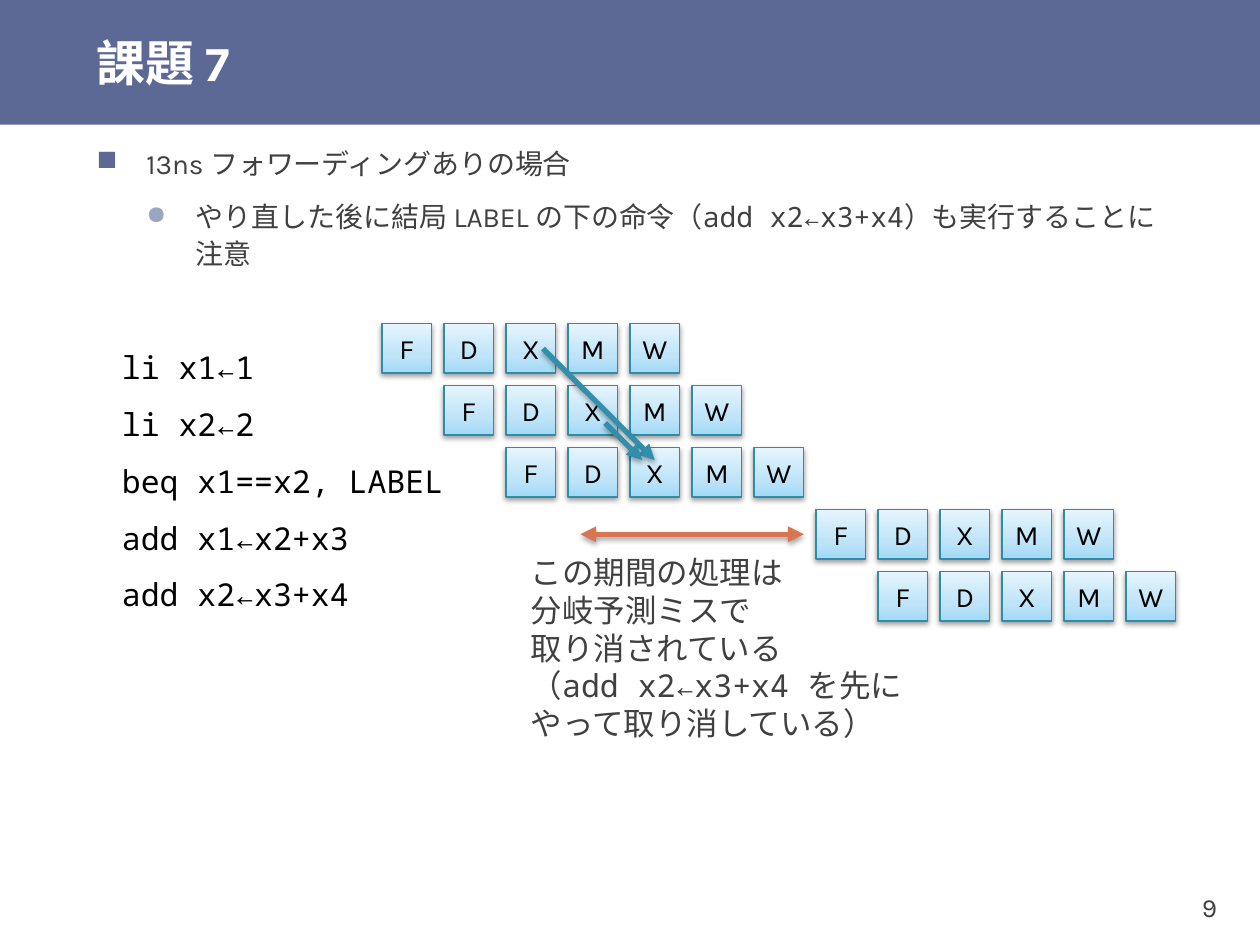
from copy import deepcopy
from pptx import Presentation
from pptx.dml.color import RGBColor
from pptx.enum.shapes import MSO_CONNECTOR, MSO_SHAPE
from pptx.enum.text import MSO_ANCHOR, PP_ALIGN
from pptx.oxml import parse_xml
from pptx.oxml.ns import nsdecls, qn
from pptx.oxml.xmlchemy import OxmlElement
from pptx.util import Pt

SANS, MONO = "Karla", "Noto Sans Mono"
HEX = {
    "bar": "5C6994", "dot": "9BA4C1", "text": "404040", "white": "FFFFFF",
    "black": "000000", "edge": "2E8DAB", "flow": "328FAC", "span": "D87552",
    "deep": "A2D9F7", "mid": "BFE4F8", "pale": "E6F5FD",
}
RGB = {name: RGBColor.from_string(code) for name, code in HEX.items()}


def style(para, size, color, name=None, bold=None):
    font = para.font
    font.size, font.name, font.bold = Pt(size), name, bold
    font.color.rgb = RGB[color]


def shade(item, dist, alpha):
    props = item._element.spPr
    for old in props.findall(qn("a:effectLst")):
        props.remove(old)
    props.append(parse_xml(
        f'<a:effectLst {nsdecls("a")}><a:outerShdw blurRad="{Pt(3.1)}" '
        f'dist="{Pt(dist)}" dir="5400000" rotWithShape="0">'
        f'<a:srgbClr val="{HEX["black"]}"><a:alpha val="{alpha * 1000}"/>'
        '</a:srgbClr></a:outerShdw></a:effectLst>'))


deck = Presentation()
deck.slide_width, deck.slide_height = Pt(720), Pt(540)
slide = deck.slides.add_slide(deck.slide_layouts[6])
shapes = slide.shapes

# Title bar
bar = shapes.add_shape(MSO_SHAPE.RECTANGLE, 0, 0, Pt(720), Pt(71.3))
bar.shadow.inherit = False
bar.fill.solid()
bar.fill.fore_color.rgb = RGB["bar"]
bar.line.fill.background()

# Title
frame = shapes.add_textbox(Pt(48.2), 0, Pt(671.8), Pt(71.3)).text_frame
frame.word_wrap = True
frame.vertical_anchor = MSO_ANCHOR.MIDDLE
frame.margin_top = frame.margin_bottom = 0
frame.text = "課題 7"
style(frame.paragraphs[0], 28, "white", SANS, True)

# Page number
frame = shapes.add_textbox(Pt(643.5), Pt(496.8), Pt(57), Pt(43.2)).text_frame
frame.vertical_anchor = MSO_ANCHOR.MIDDLE
frame.margin_left = frame.margin_right = Pt(5)
frame.margin_top = frame.margin_bottom = Pt(2.9)
frame.text = "9"
frame.paragraphs[0].alignment = PP_ALIGN.RIGHT
style(frame.paragraphs[0], 15, "text", SANS)

# Bulleted notes: level, bullet, colour, size in percent, space before, after, runs
notes = [
    (0, "■", "bar", 100, 0, 6, [("13ns フォワーディングありの場合", SANS)]),
    (1, "●", "dot", 90, 3, 3, [
        ("やり直した後に結局 LABEL の下の命令（", SANS),
        ("add x2←x3+x4", MONO),
        ("）も実行することに注意", SANS)]),
]
frame = shapes.add_textbox(Pt(48.2), Pt(78.5), Pt(623.6), Pt(198.5)).text_frame
frame.word_wrap = True
for level, mark, color, size, before, after, runs in notes:
    para = frame.paragraphs[0] if level == 0 else frame.add_paragraph()
    para.level = level
    para.line_spacing = 1.1
    para.space_before, para.space_after = Pt(before), Pt(after)
    props = para._p.get_or_add_pPr()
    props.set("marL", str(Pt(28.35 * (level + 1))))
    props.set("indent", str(Pt(-28.35)))
    for xml in (f'<a:buClr {nsdecls("a")}><a:srgbClr val="{HEX[color]}"/></a:buClr>',
                f'<a:buSzPct {nsdecls("a")} val="{size * 1000}"/>',
                f'<a:buChar {nsdecls("a")} char="{mark}"/>'):
        props.append(parse_xml(xml))
    style(para, 16, "text")
    for text, name in runs:
        run = para.add_run()
        run.text, run.font.name = text, name

# Pipeline stages: one row per instruction, each at its start cycle
left, top, step, side = 218.3, 184.8, 35.43, 28.35
for row, start in enumerate([0, 1, 2, 7, 8]):
    for col, stage in enumerate("FDXMW", start):
        box = shapes.add_shape(
            MSO_SHAPE.RECTANGLE, Pt(left + col * step), Pt(top + row * step),
            Pt(side), Pt(side))
        box.fill.gradient()
        box.fill.gradient_angle = 90
        stop = box._element.spPr.find(".//" + qn("a:gs"))
        stop.addnext(deepcopy(stop))
        tones = [(0, "deep"), (0.35, "mid"), (1, "pale")]
        for stop, (place, tone) in zip(box.fill.gradient_stops, tones):
            stop.position, stop.color.rgb = place, RGB[tone]
        box.line.color.rgb, box.line.width = RGB["edge"], Pt(0.75)
        shade(box, 1.6, 38)
        frame = box.text_frame
        frame.word_wrap = False
        frame.vertical_anchor = MSO_ANCHOR.MIDDLE
        frame.text = stage
        frame.paragraphs[0].alignment = PP_ALIGN.CENTER
        style(frame.paragraphs[0], 16, "black", SANS)

# Forwarding arrows and the cancelled period
arrows = [
    (310.3, 199.2, 374.2, 263, "flow", ["tailEnd"]),
    (345.8, 241.7, 367.1, 263, "flow", ["tailEnd"]),
    (331.7, 305.3, 459.3, 305.3, "span", ["headEnd", "tailEnd"]),
]
for x1, y1, x2, y2, color, ends in arrows:
    line = shapes.add_connector(
        MSO_CONNECTOR.STRAIGHT, Pt(x1), Pt(y1), Pt(x2), Pt(y2))
    line.line.color.rgb, line.line.width = RGB[color], Pt(3)
    for end in ends:
        tip = OxmlElement("a:" + end)
        tip.set("type", "triangle")
        line.line._get_or_add_ln().append(tip)
    shade(line, 1.8, 35)

# Program listing
frame = shapes.add_textbox(Pt(41), Pt(184.8), Pt(360), Pt(167)).text_frame
frame.word_wrap = True
para = frame.paragraphs[0]
para.text = ("  li x1←1\n  li x2←2\n  beq x1==x2, LABEL\n"
             "  add x1←x2+x3\n  add x2←x3+x4")
para.line_spacing = 1.5
style(para, 18, "black", MONO)

# Remark under the cancelled period
frame = shapes.add_textbox(Pt(296.2), Pt(312.4), Pt(241), Pt(116.6)).text_frame
frame.word_wrap = True
frame.paragraphs[0].text = "この期間の処理は\n分岐予測ミスで\n取り消されている"
frame.add_paragraph().text = "（add x2←x3+x4 を先にやって取り消している）"
for para in frame.paragraphs:
    style(para, 18, "text", MONO)

deck.save("out.pptx")
